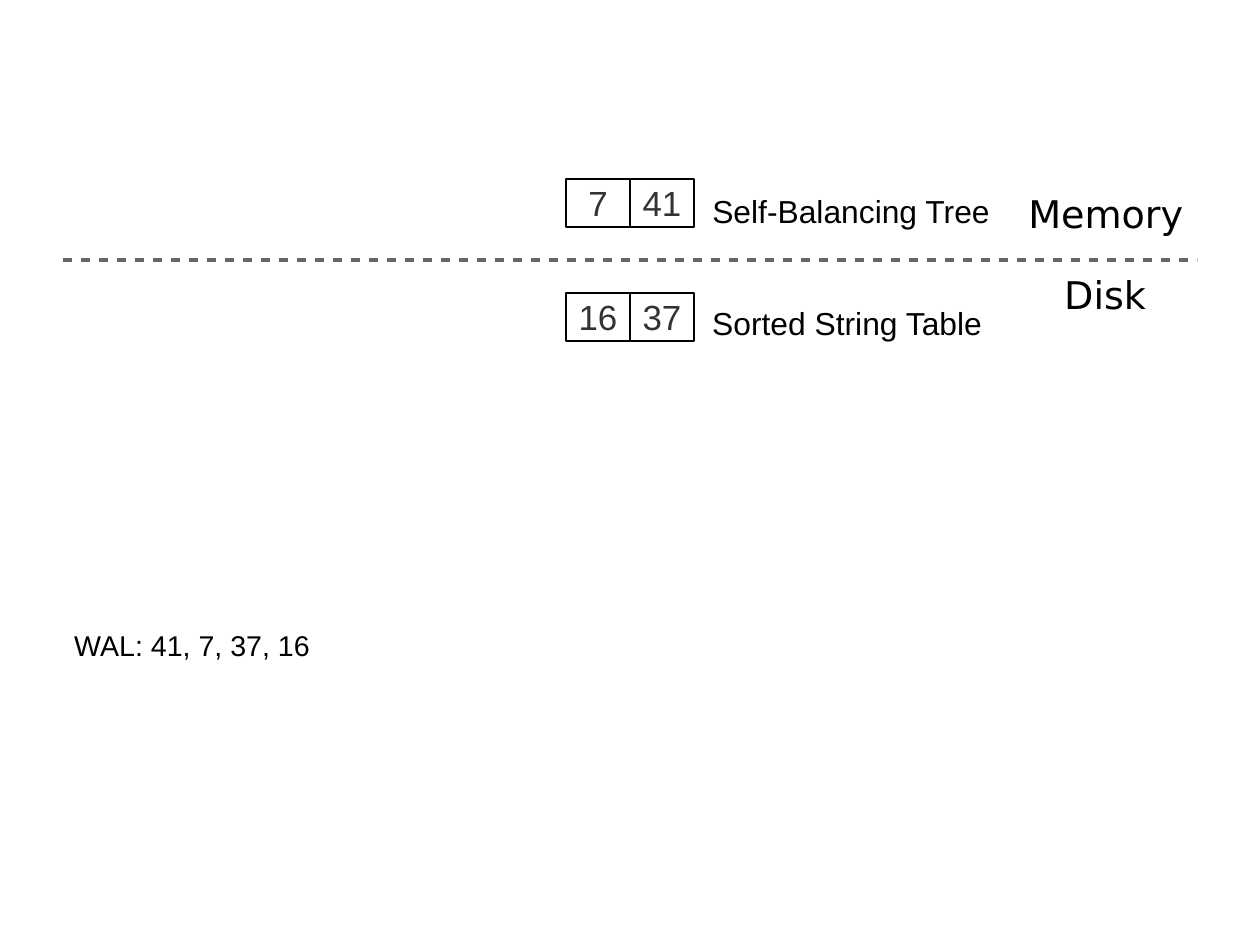
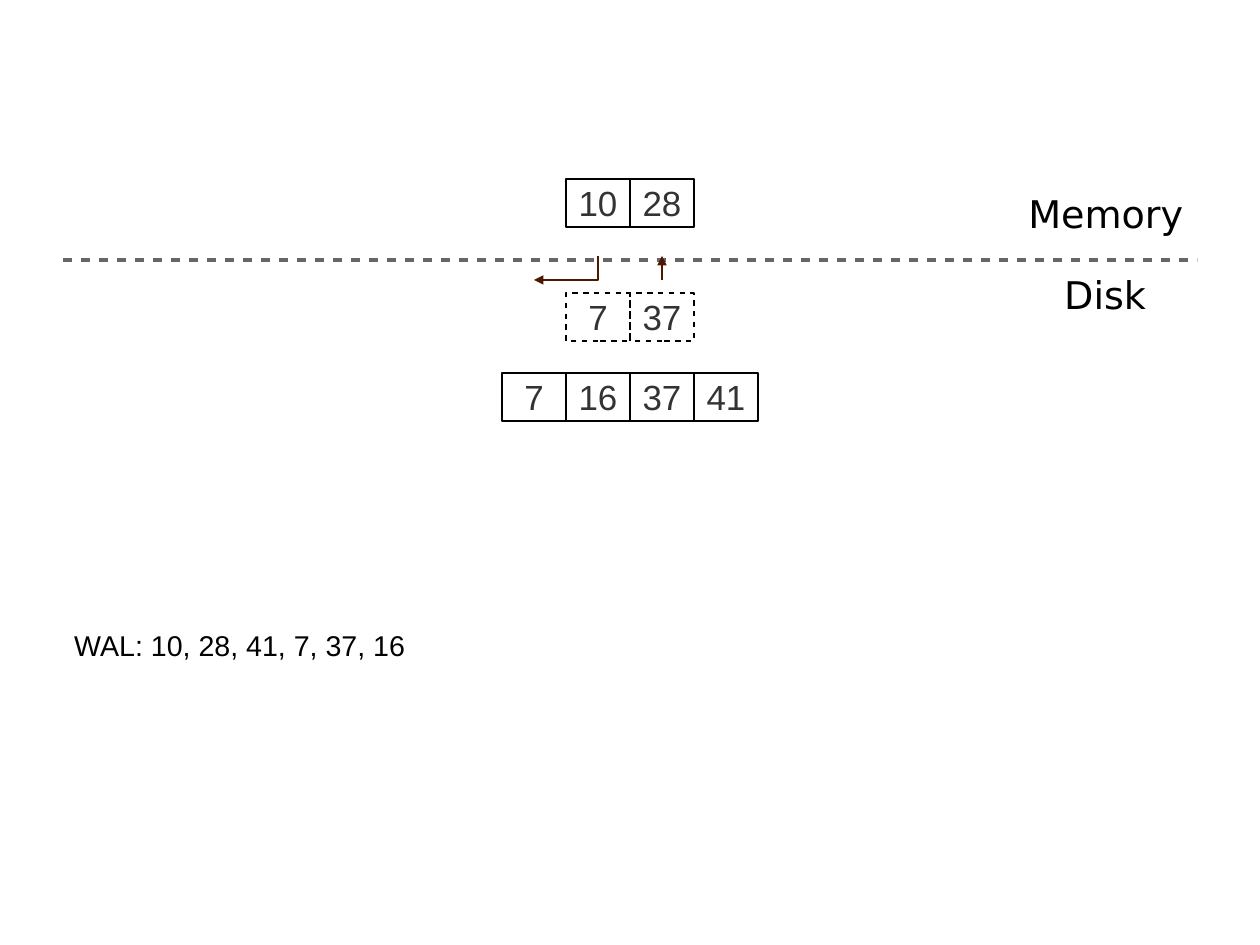
import pptx
import pptx.dml.color
import pptx.enum.shapes
import pptx.enum.text
import pptx.oxml
import pptx.oxml.ns
import pptx.util

SCALE = 8000  # EMU per px
WIDTH, HEIGHT = 1260, 945
CELL_W, CELL_H = 64, 48
MEMORY_ROW, DISK_ROW, MERGED_ROW = 179, 293, 373
COLORS = {"ink": "000000", "digit": "333333", "divider": "666666", "arrow": "4C1900"}
SANS, LABEL_FONT = "Arial", "DejaVu Sans"


def px(n):
    return pptx.util.Emu(n * SCALE)


def rgb(name):
    return pptx.dml.color.RGBColor.from_string(COLORS[name])


def add_xml(parent, tag, **attrs):
    child = pptx.oxml.parse_xml(f"<a:{tag} {pptx.oxml.ns.nsdecls('a')}/>")
    for key, value in attrs.items():
        child.set(key, value)
    parent.append(child)
    return child


class Deck:
    def __init__(self):
        self.prs = pptx.Presentation()
        self.prs.slide_width, self.prs.slide_height = px(WIDTH), px(HEIGHT)
        self.s = None

    def slide(self, wal):
        """Start a slide with the shared divider, zone labels and log line."""
        self.s = self.prs.slides.add_slide(self.prs.slide_layouts[6])
        self.line(63, 260, 1197, 260, "divider", 2.83, dashed=True)
        self.text(63, 622, 1080, 58, f"WAL: {wal}", 18)
        self.text(1017, 185, 194, 77, "Memory", 24, LABEL_FONT)
        self.text(1053, 266, 115, 77, "Disk", 24, LABEL_FONT)

    def stroke(self, line, color, width, dashed=False):
        line.color.rgb = rgb(color)
        line.width = pptx.util.Pt(width)
        ln = line._get_or_add_ln()
        if dashed:
            add_xml(add_xml(ln, "custDash"), "ds", d="200000", sp="200000")
        return ln

    def style(self, p, size, font, color):
        r = p.runs[0]
        r.font.size = pptx.util.Pt(size)
        r.font.name = font
        r.font.color.rgb = rgb(color)

    def text(self, x, y, w, h, text, size, font=SANS):
        tf = self.s.shapes.add_textbox(px(x), px(y), px(w), px(h)).text_frame
        tf.word_wrap = True
        tf.text = text
        self.style(tf.paragraphs[0], size, font, "ink")

    def line(self, x1, y1, x2, y2, color, width, dashed=False, head=None, elbow=False):
        """Draw a line; head is the end that carries an arrowhead."""
        kinds = pptx.enum.shapes.MSO_CONNECTOR
        c = self.s.shapes.add_connector(kinds.ELBOW if elbow else kinds.STRAIGHT,
                                        px(x1), px(y1), px(x2), px(y2))
        ln = self.stroke(c.line, color, width, dashed)
        if head:
            add_xml(ln, head, type="triangle")
        sp_pr = c._element.spPr
        add_xml(sp_pr, "effectLst")
        if elbow:  # put the bend at the far end
            guides = sp_pr.find(pptx.oxml.ns.qn("a:prstGeom")).get_or_add_avLst()
            add_xml(guides, "gd", name="adj1", fmla="val 100000")

    def cell(self, x, y, value, dashed):
        sp = self.s.shapes.add_shape(pptx.enum.shapes.MSO_SHAPE.RECTANGLE,
                                     px(x), px(y), px(CELL_W), px(CELL_H))
        sp.shadow.inherit = False
        sp.fill.background()
        self.stroke(sp.line, "ink", 1.7, dashed)
        tf = sp.text_frame
        tf.word_wrap = False
        tf.vertical_anchor = pptx.enum.text.MSO_ANCHOR.MIDDLE
        tf.margin_left = tf.margin_right = px(12)
        tf.margin_top = tf.margin_bottom = px(7)
        tf.text = str(value)
        p = tf.paragraphs[0]
        p.alignment = pptx.enum.text.PP_ALIGN.CENTER
        self.style(p, 22, SANS, "digit")

    def row(self, y, values, dashed=False):
        """Draw a row of cells centred on the slide."""
        left = (WIDTH - CELL_W * len(values)) // 2
        for i, value in enumerate(values):
            self.cell(left + i * CELL_W, y, value, dashed)


def main():
    d = Deck()

    # Tree in memory, table on disk
    d.slide("41, 7, 37, 16")
    d.row(MEMORY_ROW, [7, 41])
    d.row(DISK_ROW, [16, 37])
    d.text(701, 186, 330, 63, "Self-Balancing Tree", 20)
    d.text(701, 298, 322, 63, "Sorted String Table", 20)

    # Merged table with its index
    d.slide("10, 28, 41, 7, 37, 16")
    d.row(MEMORY_ROW, [10, 28])
    d.line(534, 280, 598, 256, "arrow", 1.42, head="headEnd", elbow=True)
    d.line(662, 280, 662, 256, "arrow", 1.42, head="tailEnd")
    d.row(MERGED_ROW, [7, 16, 37, 41])
    d.row(DISK_ROW, [7, 37], dashed=True)

    d.prs.save("out.pptx")


if __name__ == "__main__":
    main()
